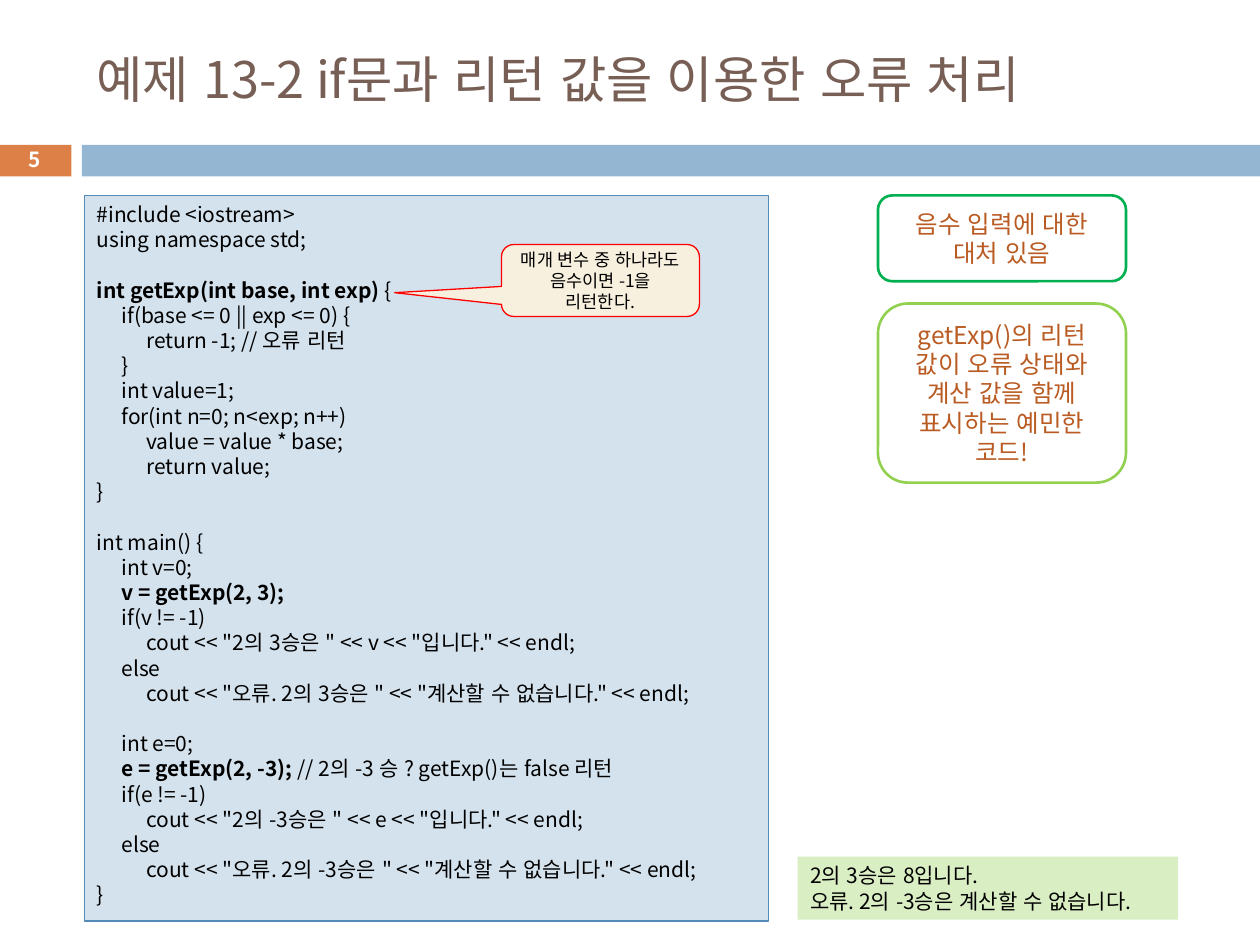
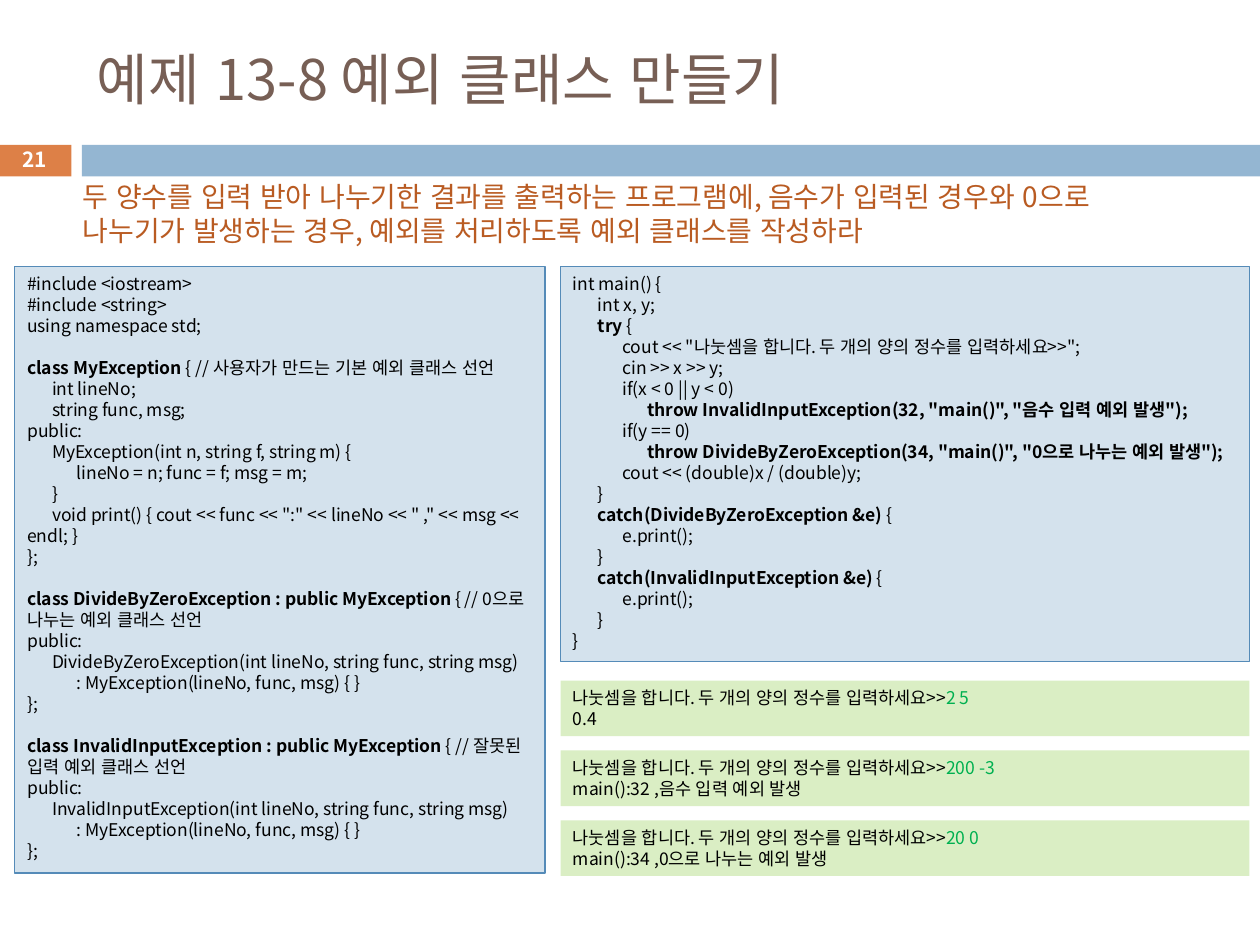
"""Build two lecture slides on C++ error handling and exception classes."""
import dataclasses

import pptx
import pptx.dml.color
import pptx.enum.lang
import pptx.enum.shapes
import pptx.enum.text
import pptx.oxml
import pptx.oxml.ns
import pptx.util

Cm = pptx.util.Cm
Pt = pptx.util.Pt
SHAPE = pptx.enum.shapes.MSO_SHAPE
ALIGN = pptx.enum.text.PP_ALIGN
ANCHOR = pptx.enum.text.MSO_ANCHOR


@dataclasses.dataclass(frozen=True)
class Theme:
    font: str = "Noto Sans CJK KR"
    title: str = "775F55"
    badge: str = "DD8047"
    band: str = "94B6D2"
    white: str = "FFFFFF"
    ink: str = "000000"
    accent: str = "B95B22"
    code_fill: str = "D4E2ED"
    code_line: str = "558BB8"
    console_fill: str = "DAEEC4"
    callout_fill: str = "F7F0DE"
    callout_line: str = "FF0000"
    green: str = "00B050"
    lime: str = "92D050"
    number_size: float = 11.9
    large: int = 16
    note: int = 14
    code: int = 12
    small: int = 10
    leading: float = 1.2
    tab: float = 0.5


theme = Theme()


def add_box(page, kind, place, fill=None, line=None, width=0.75):
    box = page.shapes.add_shape(kind, *[Cm(length) for length in place])
    box.shadow.inherit = False
    for part, color in ((box.fill, fill), (box.line.fill, line)):
        if color:
            part.solid()
            part.fore_color.rgb = pptx.dml.color.RGBColor.from_string(color)
        else:
            part.background()
    if line:
        box.line.width = Pt(width)
    return box


def write(box, text, size, color=theme.ink, align=ALIGN.LEFT,
          anchor=ANCHOR.TOP, bold=False, typed=None):
    """Fill a box; tildes enclose stressed spans and empty lines become gaps."""
    frame = box.text_frame
    for name, value in {"word_wrap": True, "vertical_anchor": anchor}.items():
        setattr(frame, name, value)
    pitch = Pt(size * theme.leading)
    gap = Pt(0)
    para = None
    for row in text.strip("\n").split("\n"):
        if not row:
            gap = pitch
            continue
        para = frame.add_paragraph() if para else frame.paragraphs[0]
        layout = {"alignment": align, "line_spacing": pitch,
                  "space_before": gap, "space_after": Pt(0)}
        for name, value in layout.items():
            setattr(para, name, value)
        gap = Pt(0)
        if "\t" in row:
            stops = pptx.oxml.parse_xml(
                "<a:tabLst %s/>" % pptx.oxml.ns.nsdecls("a"))
            for level in range(1, 5):
                stop = pptx.oxml.parse_xml(
                    "<a:tab %s/>" % pptx.oxml.ns.nsdecls("a"))
                stop.set("pos", str(int(Cm(level * theme.tab))))
                stop.set("algn", "l")
                stops.append(stop)
            para._p.get_or_add_pPr().append(stops)
        for order, words in enumerate(row.split("~")):
            if not words:
                continue
            stressed = order % 2 == 1
            span = para.add_run()
            span.text = words
            style = {"name": theme.font, "size": Pt(size),
                     "bold": bold or (stressed and not typed),
                     "language_id": pptx.enum.lang.MSO_LANGUAGE_ID.KOREAN}
            for name, value in style.items():
                setattr(span.font, name, value)
            span.font.color.rgb = pptx.dml.color.RGBColor.from_string(
                typed if stressed and typed else color)
            face = pptx.oxml.parse_xml(
                "<a:ea %s/>" % pptx.oxml.ns.nsdecls("a"))
            face.set("typeface", theme.font)
            span.font._element.append(face)


deck = pptx.Presentation()
deck.slide_width = Cm(25.4)
deck.slide_height = Cm(19.05)

pages = []
for title, title_size, number in (
        ("예제 13-2 if문과 리턴 값을 이용한 오류 처리", 28.8, "5"),
        ("예제 13-8 예외 클래스 만들기", 32, "21")):
    page = deck.slides.add_slide(deck.slide_layouts[6])
    add_box(page, SHAPE.RECTANGLE, (-0.03, 2.92, 1.47, 0.64), theme.badge)
    add_box(page, SHAPE.RECTANGLE, (1.65, 2.92, 23.75, 0.64), theme.band)
    heading = page.shapes.add_textbox(Cm(1.7), Cm(0.64), Cm(22.66), Cm(1.88))
    write(heading, title, title_size, theme.title, anchor=ANCHOR.MIDDLE)
    label = page.shapes.add_textbox(Cm(-0.03), Cm(2.87), Cm(1.47), Cm(0.69))
    write(label, number, theme.number_size, theme.white, ALIGN.CENTER,
          ANCHOR.MIDDLE, bold=True)
    pages.append(page)
return_page, class_page = pages

return_code = """
#include <iostream>
using namespace std;

~int getExp(int base, int exp) ~{
\tif(base <= 0 || exp <= 0) {
\t\treturn -1; // 오류 리턴
\t}
\tint value=1;
\tfor(int n=0; n<exp; n++)
\t\tvalue = value * base;
\t\treturn value;
}

int main() {
\tint v=0;
\t~v = getExp(2, 3);~
\tif(v != -1)
\t\tcout << "2의 3승은 " << v << "입니다." << endl;
\telse
\t\tcout << "오류. 2의 3승은 " << "계산할 수 없습니다." << endl;

\tint e=0;
\t~e = getExp(2, -3); ~// 2의 -3 승 ? getExp()는 false 리턴
\tif(e != -1)
\t\tcout << "2의 -3승은 " << e << "입니다." << endl;
\telse
\t\tcout << "오류. 2의 -3승은 " << "계산할 수 없습니다." << endl;
}
"""

main_code = """
int main() {
\tint x, y;
\t~try~ {
\t\tcout << "나눗셈을 합니다. 두 개의 양의 정수를 입력하세요>>";
\t\tcin >> x >> y;
\t\tif(x < 0 || y < 0)
\t\t\t~throw InvalidInputException(32, "main()", "음수 입력 예외 발생");~
\t\tif(y == 0)
\t\t\t~throw DivideByZeroException(34, "main()", "0으로 나누는 예외 발생");~
\t\tcout << (double)x / (double)y;
\t}
\t~catch(DivideByZeroException &e)~ {
\t\te.print();
\t}
\t~catch(InvalidInputException &e)~ {
\t\te.print();
\t}
}
"""

class_code = """
#include <iostream>
#include <string>
using namespace std;

~class MyException ~{ // 사용자가 만드는 기본 예외 클래스 선언
\tint lineNo;
\tstring func, msg;
public:
\tMyException(int n, string f, string m) {
\t\tlineNo = n; func = f; msg = m;
\t}
\tvoid print() { cout << func << ":" << lineNo << " ," << msg << endl; }
};
"""
for name, remark in (("DivideByZeroException", "0으로 나누는"),
                     ("InvalidInputException", "잘못된 입력")):
    class_code += f"""
~class {name} : public MyException ~{{ // {remark} 예외 클래스 선언
public:
\t{name}(int lineNo, string func, string msg)
\t\t: MyException(lineNo, func, msg) {{ }}
}};
"""

for page, place, code, size in (
        (return_page, (1.7, 3.94, 13.79, 14.63), return_code, theme.code),
        (class_page, (11.3, 5.38, 13.89, 7.95), main_code, theme.small),
        (class_page, (0.3, 5.38, 10.69, 12.22), class_code, theme.small)):
    listing = add_box(page, SHAPE.RECTANGLE, place, theme.code_fill,
                      theme.code_line)
    write(listing, code, size)

callout = add_box(return_page, SHAPE.ROUNDED_RECTANGULAR_CALLOUT,
                  (10.11, 4.93, 3.99, 1.45), theme.callout_fill,
                  theme.callout_line)
for index, value in enumerate((-1.04, 0.17, 0.17)):
    callout.adjustments[index] = value
write(callout, "매개 변수 중 하나라도 음수이면 -1을 리턴한다.", theme.small,
      align=ALIGN.CENTER, anchor=ANCHOR.MIDDLE)

console = add_box(return_page, SHAPE.RECTANGLE, (16.08, 17.27, 7.67, 1.27),
                  theme.console_fill)
write(console, "2의 3승은 8입니다.\n오류. 2의 -3승은 계산할 수 없습니다.",
      theme.code)

for top, height, outline, remark in (
        (3.94, 1.73, theme.green, "음수 입력에 대한 대처 있음"),
        (6.12, 3.61, theme.lime,
         "getExp()의 리턴 값이 오류 상태와 계산 값을 함께 표시하는 예민한\n코드!")):
    note = add_box(return_page, SHAPE.ROUNDED_RECTANGLE,
                   (17.7, top, 5, height), line=outline, width=1.5)
    write(note, remark, theme.note, theme.accent, ALIGN.CENTER, ANCHOR.MIDDLE)

prompt = "나눗셈을 합니다. 두 개의 양의 정수를 입력하세요>>"
for order, (answer, result) in enumerate((
        ("2 5", "0.4"),
        ("200 -3", "main():32 ,음수 입력 예외 발생"),
        ("20 0", "main():34 ,0으로 나누는 예외 발생"))):
    console = add_box(class_page, SHAPE.RECTANGLE,
                      (11.3, 13.72 + 1.41 * order, 13.89, 1.12),
                      theme.console_fill)
    write(console, f"{prompt}~{answer}~\n{result}", theme.small,
          typed=theme.green)

task = class_page.shapes.add_textbox(Cm(1.42), Cm(3.5), Cm(22), Cm(1.63))
write(task, "두 양수를 입력 받아 나누기한 결과를 출력하는 프로그램에, 음수가 입력된 "
      "경우와 0으로 나누기가 발생하는 경우, 예외를 처리하도록 예외 클래스를 작성하라",
      theme.large, theme.accent)

deck.save("out.pptx")
